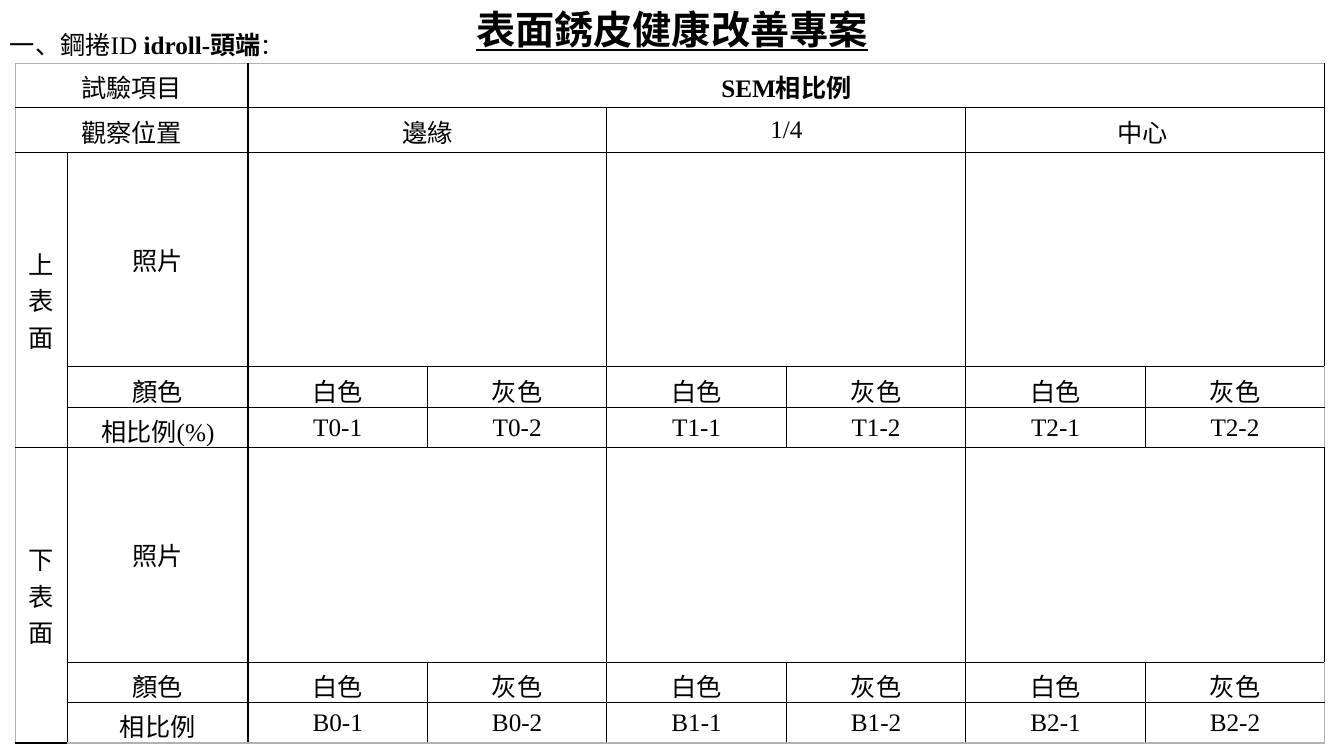
from itertools import product
from lxml.etree import SubElement as Sub
from pptx import Presentation
from pptx.dml.color import RGBColor as RGB
from pptx.enum.text import MSO_ANCHOR as Anchor, PP_ALIGN as Align
from pptx.oxml.ns import qn
from pptx.util import Inches, Pt

# Content: each entry is text, row, column, rows spanned, columns spanned
TITLE = "表面銹皮健康改善專案"
LEAD = [("一、鋼捲ID ", 18, False), ("idroll-頭端", 18, True), ("：", 16, False)]
HEAD = [
    ("試驗項目", 0, 0, 1, 2),
    ("SEM相比例", 0, 2, 1, 6),
    ("觀察位置", 1, 0, 1, 2),
]
SPOTS = ["邊緣", "1/4", "中心 "]
SHADES = ["白色", "灰色"]
SIDES = [("上表面", "T", "相比例(%)"), ("下表面", "B", "相比例")]

# Grid, in inches
WIDE, HIGH = 13.33, 7.5
LEFT, TOP = 0.15, 0.63
COLS = [0.52, 1.79] + [1.78] * 6
ROWS = [0.44] * 2 + [2.13, 0.4, 0.4] * 2

BLACK = RGB(0, 0, 0)
GREY = RGB(0xB2, 0xB2, 0xB2)
SERIF, SANS = "Times New Roman", "Noto Sans CJK SC"

deck = Presentation()
deck.slide_width, deck.slide_height = Inches(WIDE), Inches(HIGH)
slide = deck.slides.add_slide(deck.slide_layouts[6])


def add_run(para, text, size=18, bold=False, face=SERIF):
    run = para.add_run()
    run.text = text
    font = run.font
    font.size, font.bold, font.name = Pt(size), bold, face
    font.color.rgb = BLACK
    Sub(run._r.get_or_add_rPr(), qn("a:ea")).set("typeface", SANS)
    return run


def add_box(top, width, height, align):
    box = slide.shapes.add_textbox(0, Inches(top), Inches(width), Inches(height))
    box.text_frame.word_wrap = True
    para = box.text_frame.paragraphs[0]
    para.alignment = align
    return para


def draw_edges(cell, row, col):
    outer = {
        "L": col == 0,
        "R": col == len(COLS) - 1,
        "T": row == 0,
        "B": row == len(ROWS) - 1,
    }
    props = cell._tc.get_or_add_tcPr()
    for spot, (side, rim) in enumerate(outer.items()):
        line = Sub(props, qn(f"a:ln{side}"), w=str(Pt(1)))
        fill = Sub(line, qn("a:solidFill"))
        Sub(fill, qn("a:srgbClr"), val=str(GREY if rim else BLACK))
        props.insert(spot, line)


def put(text, row, col, down=1, across=1):
    cell = table.cell(row, col)
    if down * across > 1:
        cell.merge(table.cell(row + down - 1, col + across - 1))
    para = cell.text_frame.paragraphs[0]
    para.alignment = Align.CENTER
    if text:
        add_run(para, text, bold=text.startswith("SEM"))
    return cell


# Title and lead line
add_run(add_box(0, WIDE, 0.57, Align.CENTER), TITLE, 28, True, SANS).font.underline = True
lead = add_box(0.24, 9.64, 0.4, Align.JUSTIFY)
lead.space_after = Pt(10)
indent = lead._p.get_or_add_pPr()
indent.set("marL", str(Inches(0.48)))
indent.set("indent", str(-Inches(0.48)))
for text, size, bold in LEAD:
    add_run(lead, text, size, bold)

# Empty table with its rules
frame = slide.shapes.add_table(
    len(ROWS), len(COLS), Inches(LEFT), Inches(TOP), Inches(sum(COLS)), Inches(sum(ROWS))
)
table = frame.table
table.first_row = table.horz_banding = False
for col, width in zip(table.columns, COLS):
    col.width = Inches(width)
for row, height in zip(table.rows, ROWS):
    row.height = Inches(height)
for row, col in product(range(len(ROWS)), range(len(COLS))):
    cell = table.cell(row, col)
    cell.fill.background()
    cell.vertical_anchor = Anchor.MIDDLE
    draw_edges(cell, row, col)

# Heading rows
for entry in HEAD:
    put(*entry)
for num, spot in enumerate(SPOTS):
    put(spot, 1, 2 + 2 * num, 1, 2)

# One block of three rows for each surface
for part, (name, code, ratio) in enumerate(SIDES):
    top = 2 + 3 * part
    put(name, top, 0, 3)
    for step, label in enumerate(["照片", "顏色", ratio]):
        put(label, top + step, 1)
    for num in range(len(SPOTS)):
        put("", top, 2 + 2 * num, 1, 2)
        for kind, shade in enumerate(SHADES):
            col = 2 + 2 * num + kind
            put(shade, top + 1, col)
            cell = put(f"{code}{num}-{kind + 1}", top + 2, col)
            cell.margin_left = cell.margin_right = cell.margin_top = Inches(0.01)
            cell.margin_bottom = 0

deck.save("out.pptx")
